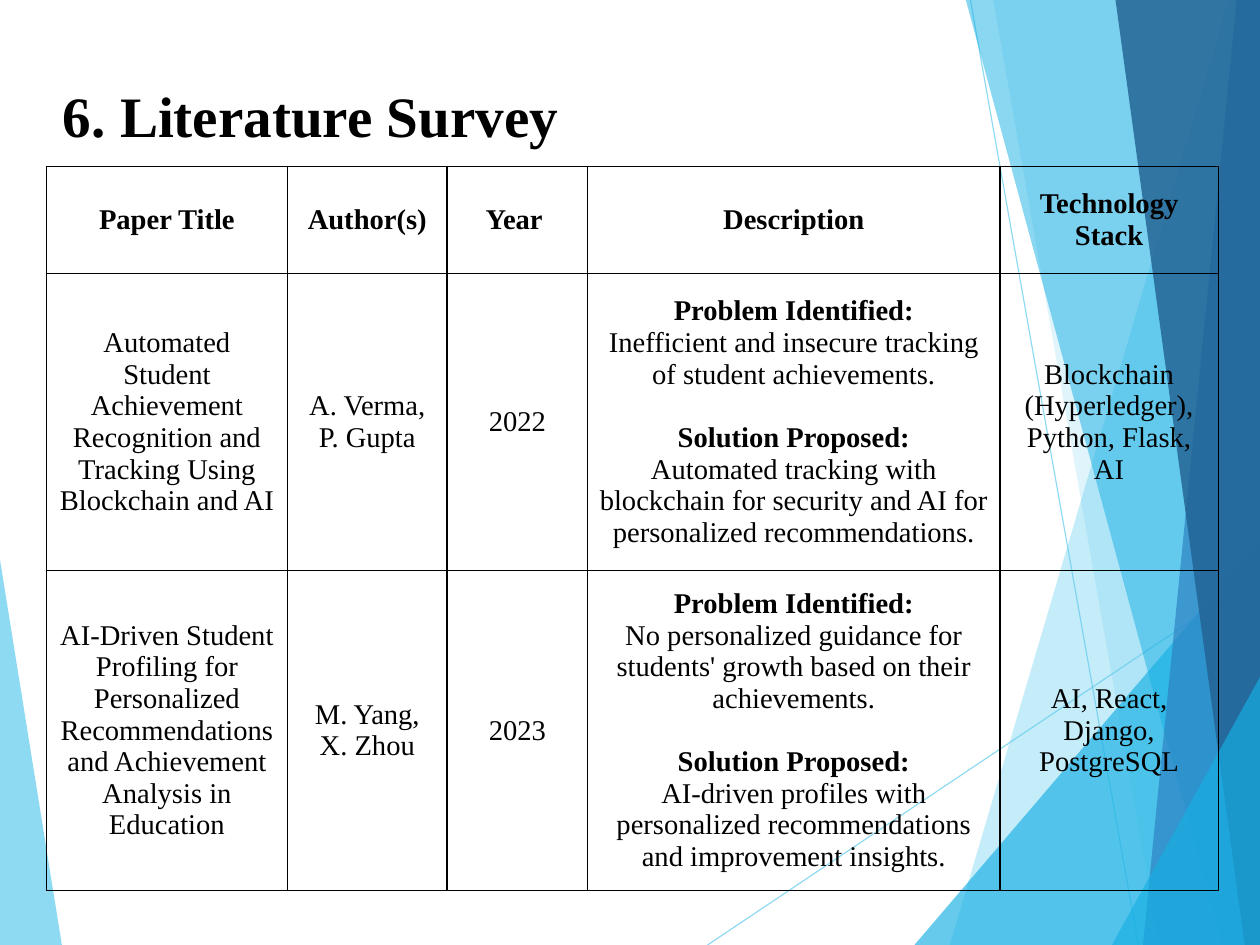
from dataclasses import dataclass

from lxml.etree import SubElement
from pptx import Presentation
from pptx.dml.color import RGBColor
from pptx.enum.shapes import MSO_CONNECTOR
from pptx.enum.text import MSO_ANCHOR, PP_ALIGN
from pptx.oxml.ns import qn
from pptx.slide import Slide
from pptx.table import _Cell
from pptx.text.text import _Paragraph
from pptx.util import Pt

WIDTH, HEIGHT = 793.7, 595.28
FONT = "Times New Roman"
BODY_SIZE = 18
LINE_HEIGHT = 19.9

BLACK = RGBColor(0x00, 0x00, 0x00)
SKY = RGBColor(0x5F, 0xCB, 0xEF)
CYAN = RGBColor(0x17, 0xB0, 0xE4)
BLUE = RGBColor(0x2E, 0x83, 0xC3)
NAVY = RGBColor(0x22, 0x62, 0x92)

Point = tuple[float, float]


@dataclass(frozen=True)
class Facet:
    points: tuple[Point, ...]
    color: RGBColor
    opacity: int


@dataclass(frozen=True)
class Ray:
    start: Point
    end: Point


@dataclass(frozen=True)
class Paper:
    title: str
    authors: str
    year: str
    description: str
    stack: str
    height: float

    def texts(self) -> tuple[str, ...]:
        return self.title, self.authors, self.year, self.description, self.stack


def right_facet(top: float, bottom: float, color: RGBColor, opacity: int) -> Facet:
    """A full-height facet that reaches the right edge of the page."""
    return Facet(((top, 0), (bottom, HEIGHT), (WIDTH, HEIGHT), (WIDTH, 0)), color, opacity)


def corner_facet(left: float, top: float, opacity: int) -> Facet:
    """A triangle in the bottom right corner of the page."""
    return Facet(((left, HEIGHT), (WIDTH, top), (WIDTH, HEIGHT)), CYAN, opacity)


LEFT_FACET = Facet(((0, 352.5), (39, HEIGHT), (0, HEIGHT)), SKY, 70)
RAYS = (
    Ray((445.7, HEIGHT), (WIDTH, 362.2)),
    Ray((611.3, 0), (717.1, HEIGHT)),
)
RIGHT_FACETS = (
    right_facet(774, 598.3, SKY, 36),
    right_facet(625.7, 730.1, SKY, 20),
    corner_facet(576, 340.6, 66),
    right_facet(608.4, 769.7, CYAN, 50),
    right_facet(779, 720, BLUE, 70),
    right_facet(702.7, 784.1, NAVY, 82),
    corner_facet(700.4, 426.5, 66),
)

COLUMN_WIDTHS = (151.9, 100.6, 88.6, 259.6, 137.6)
PAPERS = (
    Paper("Paper Title", "Author(s)", "Year ", "Description", "Technology Stack", 67.5),
    Paper(
        "Automated Student Achievement Recognition and Tracking Using Blockchain and AI",
        "A. Verma, P. Gupta",
        "2022",
        "Problem Identified:\n"
        "Inefficient and insecure tracking of student achievements.\n"
        "Solution Proposed:\n"
        "Automated tracking with blockchain for security and AI for personalized recommendations.",
        "Blockchain (Hyperledger), Python, Flask, AI",
        187,
    ),
    Paper(
        "AI-Driven Student Profiling for Personalized Recommendations and Achievement Analysis "
        "in Education",
        "M. Yang, X. Zhou",
        "2023",
        "Problem Identified:\n"
        "No personalized guidance for students' growth based on their achievements.\n"
        "Solution Proposed:\n"
        "AI-driven profiles with personalized recommendations and improvement insights.",
        "AI, React, Django, PostgreSQL",
        201.6,
    ),
)


def set_opacity(element, percent: int) -> None:
    color = next(element.iter(qn("a:srgbClr")))
    SubElement(color, qn("a:alpha")).set("val", str(percent * 1000))


def draw_facet(page: Slide, facet: Facet) -> None:
    first, *others = [(Pt(x), Pt(y)) for x, y in facet.points]
    builder = page.shapes.build_freeform(*first)
    builder.add_line_segments(others, close=True)
    shape = builder.convert_to_shape()
    shape.shadow.inherit = False
    shape.fill.solid()
    shape.fill.fore_color.rgb = facet.color
    shape.line.fill.background()
    set_opacity(shape.element, facet.opacity)


def draw_ray(page: Slide, ray: Ray) -> None:
    ends = [Pt(value) for value in ray.start + ray.end]
    line = page.shapes.add_connector(MSO_CONNECTOR.STRAIGHT, *ends)
    line.line.width = Pt(0.75)
    line.line.color.rgb = SKY
    set_opacity(line.element, 70)
    SubElement(line.element.spPr, qn("a:effectLst"))


def format_runs(para: _Paragraph, size: float, bold: bool) -> None:
    for span in para.runs:
        span.font.name = FONT
        span.font.size = Pt(size)
        span.font.bold = bold
        span.font.color.rgb = BLACK


def add_borders(cell: _Cell) -> None:
    properties = cell._tc.get_or_add_tcPr()
    for side in ("lnL", "lnR", "lnT", "lnB"):
        border = SubElement(properties, qn(f"a:{side}"), w=str(Pt(1)))
        fill = SubElement(border, qn("a:solidFill"))
        SubElement(fill, qn("a:srgbClr"), val=str(BLACK))


def fill_cell(cell: _Cell, text: str, header: bool) -> None:
    add_borders(cell)
    cell.fill.background()
    cell.vertical_anchor = MSO_ANCHOR.MIDDLE
    cell.text_frame.text = text
    for number, para in enumerate(cell.text_frame.paragraphs):
        label = para.text.endswith(":")
        para.alignment = PP_ALIGN.CENTER
        if label and number:
            para.space_before = Pt(LINE_HEIGHT)
        format_runs(para, BODY_SIZE, header or label)


def add_title(page: Slide) -> None:
    box = page.shapes.add_textbox(Pt(39.6), Pt(23.8), Pt(714.2), Pt(99.4))
    frame = box.text_frame
    frame.word_wrap = True
    frame.vertical_anchor = MSO_ANCHOR.MIDDLE
    frame.margin_left = frame.margin_right = frame.margin_bottom = 0
    frame.margin_top = Pt(2.2)
    frame.text = "6. Literature Survey"
    frame.paragraphs[0].line_spacing = 0.93
    format_runs(frame.paragraphs[0], 36, True)


def add_survey(page: Slide) -> None:
    total_height = sum(paper.height for paper in PAPERS)
    table = page.shapes.add_table(
        len(PAPERS), len(COLUMN_WIDTHS),
        Pt(29.2), Pt(104.8), Pt(sum(COLUMN_WIDTHS)), Pt(total_height),
    ).table
    table.horz_banding = False
    table.first_row = False
    for column, width in zip(table.columns, COLUMN_WIDTHS):
        column.width = Pt(width)
    for index, paper in enumerate(PAPERS):
        row = table.rows[index]
        row.height = Pt(paper.height)
        for cell, text in zip(row.cells, paper.texts()):
            fill_cell(cell, text, header=index == 0)


def main() -> None:
    deck = Presentation()
    deck.slide_width, deck.slide_height = Pt(WIDTH), Pt(HEIGHT)
    page = deck.slides.add_slide(deck.slide_layouts[6])

    # Faceted background
    draw_facet(page, LEFT_FACET)
    for ray in RAYS:
        draw_ray(page, ray)
    for facet in RIGHT_FACETS:
        draw_facet(page, facet)

    # Title and survey table
    add_title(page)
    add_survey(page)
    deck.save("out.pptx")


if __name__ == "__main__":
    main()
